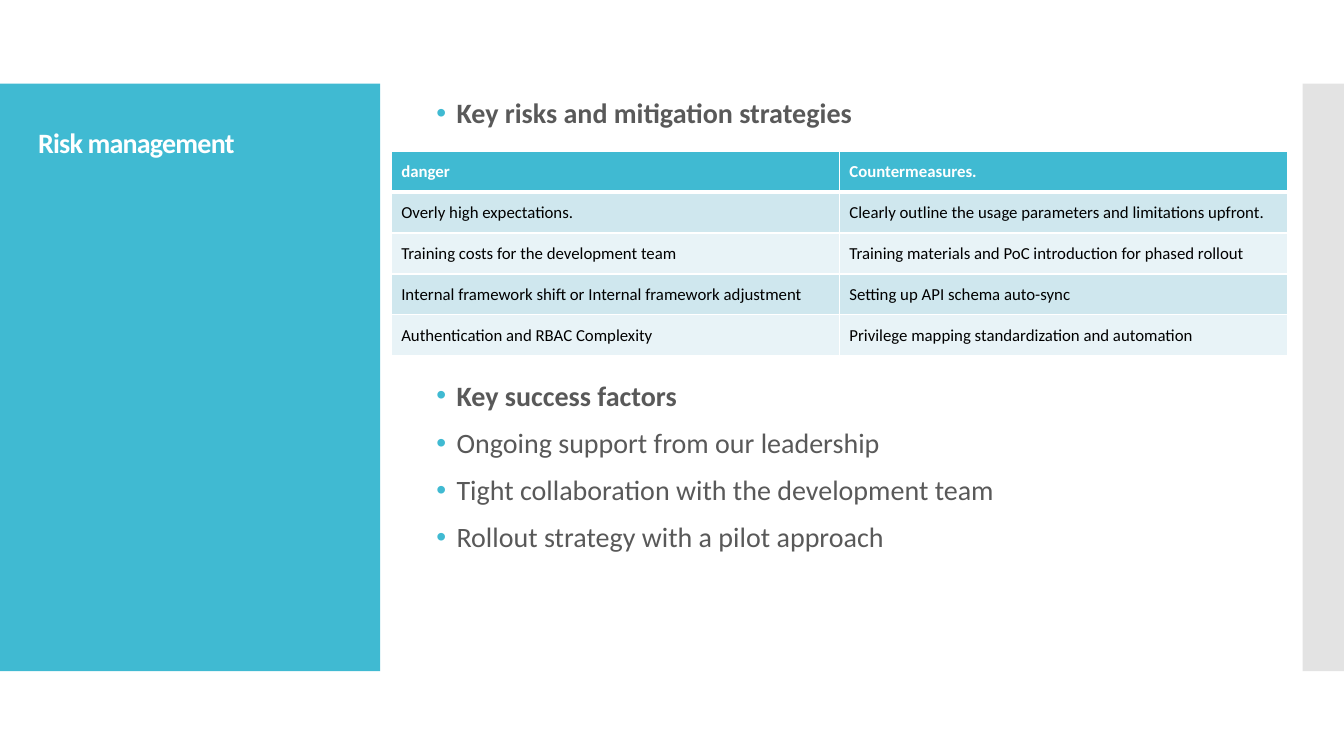
import dataclasses
import typing

import lxml.etree
import pptx
import pptx.dml.color
import pptx.enum.shapes
import pptx.enum.text
import pptx.oxml.ns
import pptx.util

Inches = pptx.util.Inches
Pt = pptx.util.Pt

COLOURS = {
    "accent": "40BAD2",
    "edge": "C8C8C8",
    "white": "FFFFFF",
    "body": "595959",
    "cell": "000000",
    "band_dark": "CFE7EE",
    "band_light": "E8F3F7",
}


@dataclasses.dataclass(frozen=True)
class Panel:
    left: float
    width: float
    colour: str
    opacity: int = 100


@dataclasses.dataclass(frozen=True)
class Bullet:
    text: str
    bold: bool = False
    space_before: float = 12


PANELS = [Panel(0, 3.77, "accent"), Panel(12.92, 0.42, "edge", 50)]

BULLETS = [
    Bullet("Key risks and mitigation strategies", bold=True),
    Bullet("Key success factors", bold=True, space_before=180),
    Bullet("Ongoing support from our leadership"),
    Bullet("Tight collaboration with the development team"),
    Bullet("Rollout strategy with a pilot approach"),
]

RISKS = [
    ("danger", "Countermeasures."),
    ("Overly high expectations.", "Clearly outline the usage parameters and limitations upfront."),
    ("Training costs for the development team", "Training materials and PoC introduction for phased rollout"),
    ("Internal framework shift or Internal framework adjustment", "Setting up API schema auto-sync"),
    ("Authentication and RBAC Complexity", "Privilege mapping standardization and automation"),
]


def rgb(name: str) -> pptx.dml.color.RGBColor:
    return pptx.dml.color.RGBColor.from_string(COLOURS[name])


def set_attributes(target: typing.Any, values: dict[str, typing.Any]) -> None:
    for name, value in values.items():
        setattr(target, name, value)


def add_element(parent: typing.Any, tag: str, **attributes: str) -> typing.Any:
    return lxml.etree.SubElement(parent, pptx.oxml.ns.qn(tag), attributes)


def add_span(para: typing.Any, text: str, size: float, colour: str, bold: bool) -> typing.Any:
    span = para.add_run()
    span.text = text
    set_attributes(span.font, {"name": "Calibri", "size": Pt(size), "bold": bold})
    span.font.color.rgb = rgb(colour)
    return span


def add_panel(page: typing.Any, panel: Panel) -> None:
    shape = page.shapes.add_shape(
        pptx.enum.shapes.MSO_SHAPE.RECTANGLE,
        Inches(panel.left), Inches(0.83), Inches(panel.width), Inches(5.83),
    )
    shape.shadow.inherit = False
    shape.fill.solid()
    shape.fill.fore_color.rgb = rgb(panel.colour)
    shape.line.fill.background()
    if panel.opacity < 100:
        colour = shape.element.spPr.find(".//" + pptx.oxml.ns.qn("a:srgbClr"))
        add_element(colour, "a:alpha", val=str(panel.opacity * 1000))


def add_text_frame(page: typing.Any, left: float, top: float, width: float, height: float) -> typing.Any:
    box = page.shapes.add_textbox(Inches(left), Inches(top), Inches(width), Inches(height))
    set_attributes(box.text_frame, {
        "word_wrap": True,
        "vertical_anchor": pptx.enum.text.MSO_ANCHOR.TOP,
    })
    return box.text_frame


def add_title(page: typing.Any) -> None:
    para = add_text_frame(page, 0.28, 1.23, 3.22, 5.03).paragraphs[0]
    para.line_spacing = 0.9
    span = add_span(para, "Risk management", 20, "white", True)
    span.font._element.set("spc", "-60")


def add_bullets(page: typing.Any, bullets: list[Bullet]) -> None:
    frame = add_text_frame(page, 4.23, 0.94, 8, 5.6)
    for index, bullet in enumerate(bullets):
        para = frame.add_paragraph() if index else frame.paragraphs[0]
        set_attributes(para, {"line_spacing": 0.9, "space_before": Pt(bullet.space_before)})
        properties = para._p.get_or_add_pPr()
        properties.set("marL", str(Inches(0.2)))
        properties.set("indent", str(-Inches(0.2)))
        add_element(add_element(properties, "a:buClr"), "a:srgbClr", val=COLOURS["accent"])
        add_element(properties, "a:buFont", typeface="Arial")
        add_element(properties, "a:buChar", char="•")
        add_span(para, bullet.text, 20, "body", bullet.bold)


def add_borders(cell: typing.Any, widths: dict[str, float]) -> None:
    properties = cell._tc.get_or_add_tcPr()
    for index, (side, width) in enumerate(widths.items()):
        line = add_element(properties, f"a:ln{side}", w=str(Pt(width)))
        add_element(add_element(line, "a:solidFill"), "a:srgbClr", val=COLOURS["white"])
        properties.insert(index, line)


def add_risk_table(page: typing.Any, rows: list[tuple[str, str]]) -> None:
    table = page.shapes.add_table(
        len(rows), len(rows[0]), Inches(3.88), Inches(1.5), Inches(8.89), Inches(2.03)
    ).table
    for row_index, row in enumerate(rows):
        header = row_index == 0
        fill = "accent" if header else ("band_light", "band_dark")[row_index % 2]
        top = 3 if row_index == 1 else 1
        for column_index, text in enumerate(row):
            cell = table.cell(row_index, column_index)
            cell.vertical_anchor = pptx.enum.text.MSO_ANCHOR.MIDDLE
            cell.fill.solid()
            cell.fill.fore_color.rgb = rgb(fill)
            add_borders(cell, {"L": 1, "R": 1, "T": top, "B": 3 if header else 1})
            add_span(cell.text_frame.paragraphs[0], text, 12, "white" if header else "cell", header)


def main() -> None:
    deck = pptx.Presentation()
    set_attributes(deck, {"slide_width": Inches(13.33), "slide_height": Inches(7.5)})
    page = deck.slides.add_slide(deck.slide_layouts[6])
    for panel in PANELS:
        add_panel(page, panel)
    add_title(page)
    add_bullets(page, BULLETS)
    add_risk_table(page, RISKS)
    deck.save("out.pptx")


if __name__ == "__main__":
    main()
